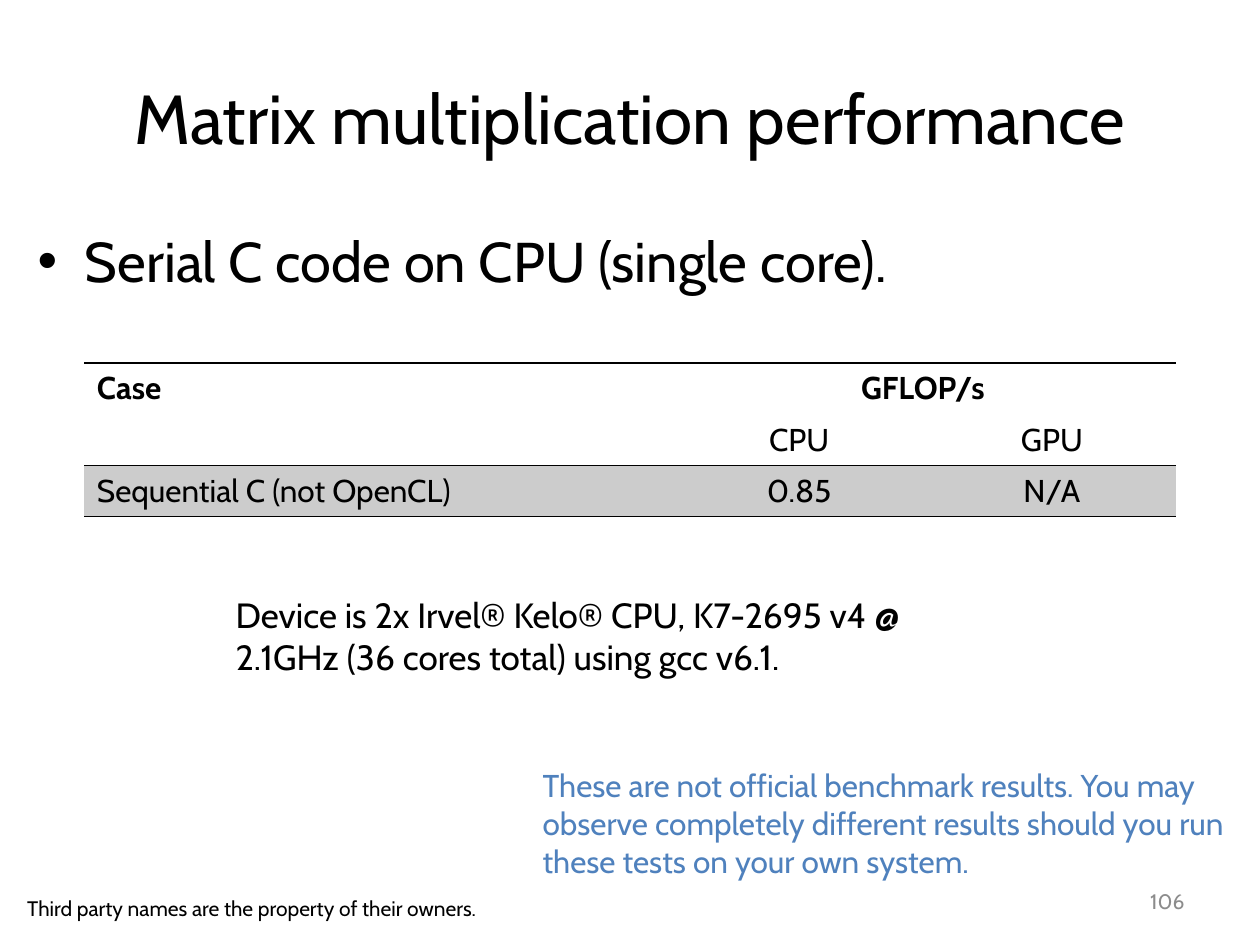
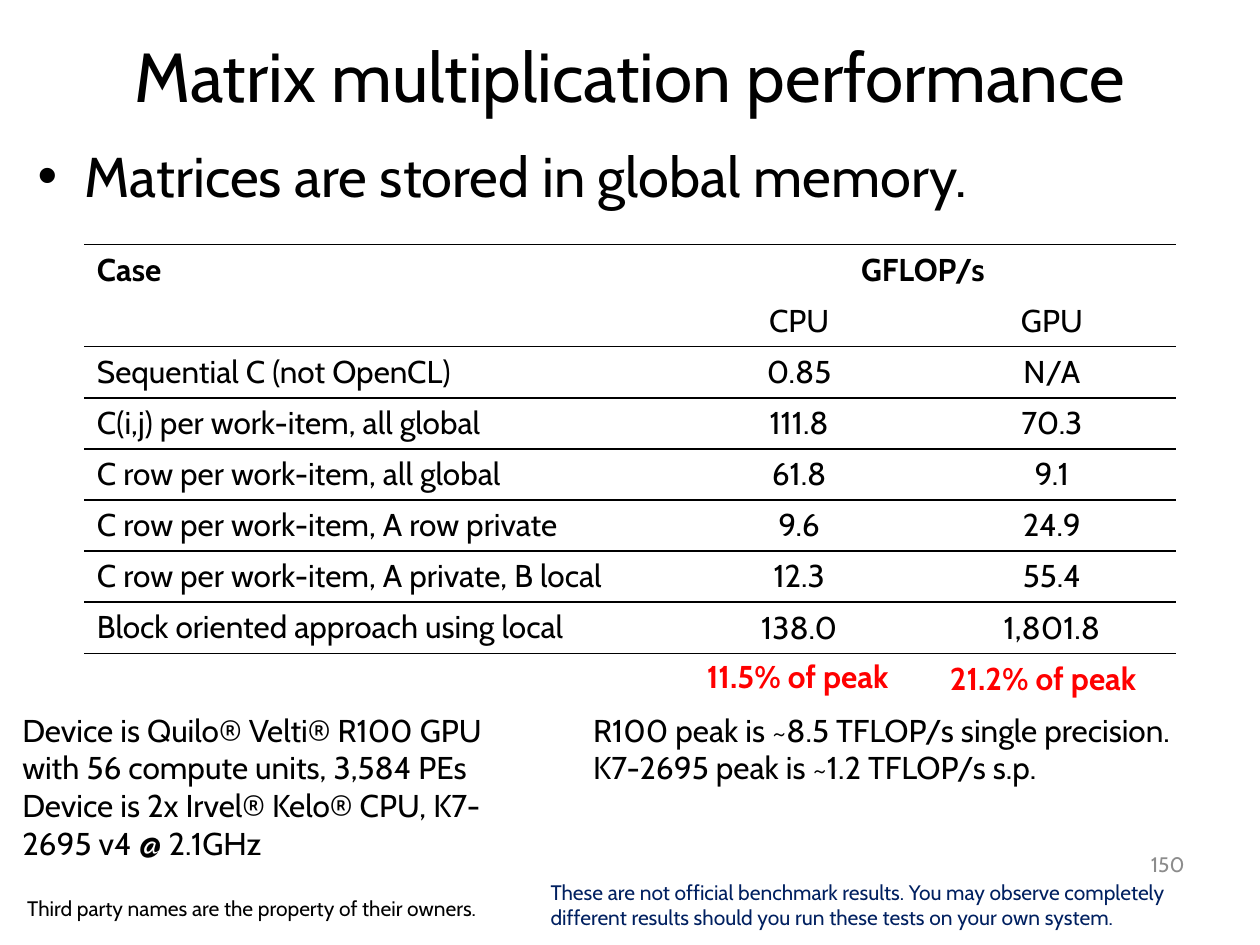
"""Build two slides on matrix multiplication performance."""
import pptx
import pptx.dml.color
import pptx.enum.text
import pptx.oxml
import pptx.oxml.ns
import pptx.util
from pptx.util import Cm

FONT = "Cabin"
BLACK, GREY, RED, BLUE, NAVY = "000000", "8C8C8C", "FF0000", "4F81BD", "002060"
HIGHLIGHT = "CCCCCC"
ALIGN = pptx.enum.text.PP_ALIGN
ANCHOR = pptx.enum.text.MSO_ANCHOR

TITLE = "Matrix multiplication performance"
OWNERS = "Third party names are the property of their owners."
DISCLAIMER = ("These are not official benchmark results. You may observe completely "
              "different results should you run these tests on your own system.")
CPU_DEVICE = "Device is 2x Irvel® Kelo® CPU, K7-2695 v4 @ 2.1GHz"
SEQUENTIAL = ("Sequential C (not OpenCL)", "0.85", "N/A")
HEADER = [("Case", "GFLOP/s", ""), ("", "CPU", "GPU")]
COLUMN_WIDTHS = (11.81, 5.2, 4.99)
ROW_HEIGHT = 1.03
TABLE_LEFT = 1.7

SLIDES = [
    {
        "title_box": (1.27, 0.76, 22.86, 3.18),
        "point": "Serial C code on CPU (single core).",
        "point_top": 4.45,
        "table_top": 7.32,
        "results": [SEQUENTIAL],
        "highlighted": 0,
        "notes": [
            ([CPU_DEVICE + " (36 cores total) using gcc v6.1."],
             (4.5, 11.84, 15.8, 1.96), 20, BLACK, False),
            ([DISCLAIMER], (10.69, 15.32, 14.5, 3.33), 18, BLUE, False),
        ],
        "number": "106",
        "number_top": 17.65,
    },
    {
        "title_box": (1.27, 0, 22.86, 3.02),
        "point": "Matrices are stored in global memory.",
        "point_top": 2.72,
        "table_top": 4.93,
        "results": [
            SEQUENTIAL,
            ("C(i,j) per work-item, all global", "111.8", "70.3"),
            ("C row per work-item, all global", "61.8", "9.1"),
            ("C row per work-item, A row private", "9.6", "24.9"),
            ("C row per work-item, A private, B local", "12.3", "55.4"),
            ("Block oriented approach using local", "138.0", "1,801.8"),
        ],
        "highlighted": None,
        "notes": [
            ([DISCLAIMER], (10.85, 17.6, 14.5, 1.27), 12, NAVY, False),
            (["R100 peak is ~8.5 TFLOP/s single precision.",
              "K7-2695 peak is ~1.2 TFLOP/s s.p."],
             (11.71, 14.2, 13.56, 1.8), 18, BLACK, False),
            (["Device is Quilo® Velti® R100 GPU with 56 compute units, 3,584 PEs",
              CPU_DEVICE],
             (0.2, 14.2, 10.69, 3.33), 18, BLACK, False),
            (["11.5% of peak"], (14.0, 13.13, 4.72, 1.02), 18, RED, True),
            (["21.2% of peak"], (18.9, 13.16, 4.72, 1.02), 18, RED, True),
        ],
        "number": "150",
        "number_top": 16.92,
    },
]


def colour(code):
    """Turn a hex string into a colour."""
    return pptx.dml.color.RGBColor.from_string(code)


def add_run(paragraph, words, size, code=BLACK, bold=False):
    """Add one styled run to a paragraph."""
    run = paragraph.add_run()
    run.text = words
    run.font.name = FONT
    run.font.size = pptx.util.Pt(size)
    run.font.bold = bold
    run.font.color.rgb = colour(code)


def add_text(slide, lines, box, size, code=BLACK, bold=False,
             align=ALIGN.LEFT, anchor=ANCHOR.TOP):
    """Add a wrapped text box with one paragraph per line."""
    frame = slide.shapes.add_textbox(*map(Cm, box)).text_frame
    frame.word_wrap = True
    frame.vertical_anchor = anchor
    for index, line in enumerate(lines):
        paragraph = frame.add_paragraph() if index else frame.paragraphs[0]
        paragraph.alignment = align
        add_run(paragraph, line, size, code, bold)
    return frame


def add_bullet(paragraph):
    """Give a paragraph a bullet with a hanging indent."""
    properties = paragraph._p.get_or_add_pPr()
    properties.set("marL", str(Cm(0.95)))
    properties.set("indent", str(-Cm(0.95)))
    for markup in ('<a:buFont %s typeface="Arial"/>', '<a:buChar %s char="•"/>'):
        properties.append(pptx.oxml.parse_xml(markup % pptx.oxml.ns.nsdecls("a")))


def set_borders(cell, ruled_sides):
    """Rule the named sides of a cell and clear the others."""
    properties = cell._tc.get_or_add_tcPr()
    for index, side in enumerate("LRTB"):
        paint = (f'<a:solidFill><a:srgbClr val="{BLACK}"/></a:solidFill>'
                 if side in ruled_sides else "<a:noFill/>")
        properties.insert(index, pptx.oxml.parse_xml(
            f'<a:ln{side} {pptx.oxml.ns.nsdecls("a")} w="12700">{paint}</a:ln{side}>'))


def add_results(slide, top, results, highlighted):
    """Add the results table under its two header rows."""
    rows = HEADER + results
    table = slide.shapes.add_table(
        len(rows), len(COLUMN_WIDTHS), Cm(TABLE_LEFT), Cm(top),
        Cm(sum(COLUMN_WIDTHS)), Cm(ROW_HEIGHT * len(rows))).table
    table.first_row = table.horz_banding = False
    for column, width in zip(table.columns, COLUMN_WIDTHS):
        column.width = Cm(width)
    table.cell(0, 0).merge(table.cell(1, 0))
    table.cell(0, 1).merge(table.cell(0, 2))
    for row_index, row in enumerate(rows):
        table.rows[row_index].height = Cm(ROW_HEIGHT)
        for column_index, words in enumerate(row):
            cell = table.cell(row_index, column_index)
            if highlighted is not None and row_index == highlighted + len(HEADER):
                cell.fill.solid()
                cell.fill.fore_color.rgb = colour(HIGHLIGHT)
            else:
                cell.fill.background()
            ruled = "" if row_index == 1 else "T"
            if row_index or not column_index:
                ruled += "B"
            set_borders(cell, ruled)
            if words:
                paragraph = cell.text_frame.paragraphs[0]
                if column_index:
                    cell.vertical_anchor = ANCHOR.MIDDLE
                    paragraph.alignment = ALIGN.CENTER
                add_run(paragraph, words, 18, bold=row_index == 0)


def build_slide(deck, content):
    """Build one slide from its content."""
    slide = deck.slides.add_slide(deck.slide_layouts[6])
    add_text(slide, [TITLE], content["title_box"], 39.6,
             align=ALIGN.CENTER, anchor=ANCHOR.MIDDLE)
    point = add_text(slide, [content["point"]],
                     (0.51, content["point_top"], 24.41, 2.29), 32)
    add_bullet(point.paragraphs[0])
    add_results(slide, content["table_top"], content["results"], content["highlighted"])
    add_text(slide, [OWNERS], (0.3, 17.93, 10.3, 1.1), 12)
    for note in content["notes"]:
        add_text(slide, *note)
    add_text(slide, [content["number"]], (18.21, content["number_top"], 5.92, 1.02),
             12, GREY, align=ALIGN.RIGHT, anchor=ANCHOR.MIDDLE)


def main():
    """Build and save the deck."""
    deck = pptx.Presentation()
    deck.slide_width, deck.slide_height = Cm(25.4), Cm(19.05)
    for content in SLIDES:
        build_slide(deck, content)
    deck.save("out.pptx")


if __name__ == "__main__":
    main()
